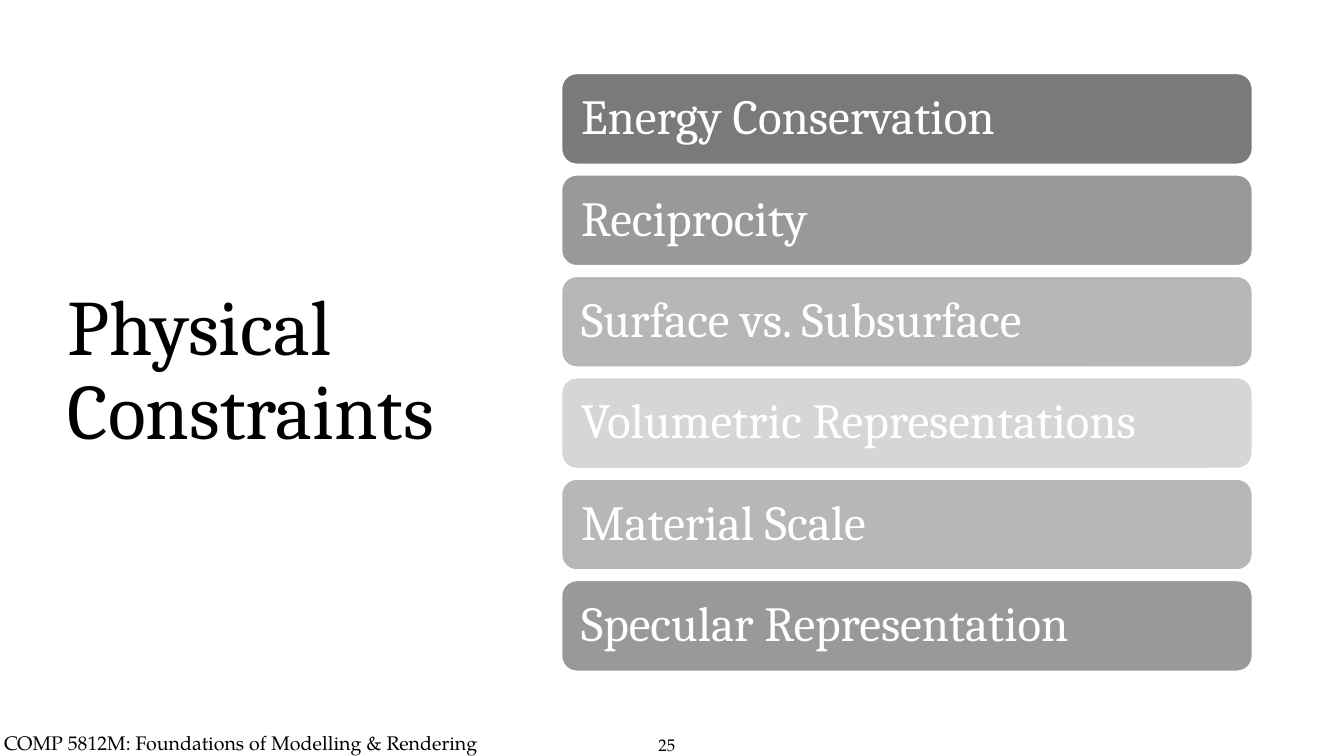
from pptx import Presentation
from pptx.dml.color import RGBColor
from pptx.enum.shapes import MSO_SHAPE
from pptx.enum.text import MSO_ANCHOR, PP_ALIGN
from pptx.util import Inches, Pt

ROUNDED = MSO_SHAPE.ROUNDED_RECTANGLE
TOP, MIDDLE = MSO_ANCHOR.TOP, MSO_ANCHOR.MIDDLE
LEFT = PP_ALIGN.LEFT

COLORS = {
    "ink": "000000",
    "paper": "FFFFFF",
    "dark": "7A7A7A",
    "medium": "999999",
    "light": "B7B7B7",
    "pale": "D6D6D6",
}
HEADING_FONT, FOOTER_FONT = "Cambria", "TeX Gyre Pagella"

CONSTRAINTS = [
    ("Energy Conservation", "dark"),
    ("Reciprocity", "medium"),
    ("Surface vs. Subsurface", "light"),
    ("Volumetric Representations", "pale"),
    ("Material Scale", "light"),
    ("Specular Representation", "medium"),
]

# Card column, in inches; the rows share its height evenly
CARDS_LEFT, CARDS_TOP, CARDS_WIDTH, CARDS_HEIGHT = 5.57, 0.73, 6.85, 5.93
CARD_HEIGHT = 0.9
CARD_PITCH = (CARDS_HEIGHT - CARD_HEIGHT) / (len(CONSTRAINTS) - 1)


def rgb(name):
    return RGBColor.from_string(COLORS[name])


def write(box, text, font, size, color, spacing, inset, anchor=MIDDLE, wrap=True):
    """Fill a shape with one left-aligned paragraph; inset is (sides, top and bottom)."""
    frame = box.text_frame
    frame.text = text
    frame.word_wrap = wrap
    frame.vertical_anchor = anchor
    frame.margin_left = frame.margin_right = Inches(inset[0])
    frame.margin_top = frame.margin_bottom = Inches(inset[1])
    paragraph = frame.paragraphs[0]
    paragraph.alignment = LEFT
    paragraph.line_spacing = spacing
    run_font = paragraph.runs[0].font
    run_font.name = font
    run_font.size = Pt(size)
    run_font.color.rgb = rgb(color)


prs = Presentation()
prs.slide_width, prs.slide_height = Inches(13.33), Inches(7.5)
slide = prs.slides.add_slide(prs.slide_layouts[6])
slide.background.fill.solid()
slide.background.fill.fore_color.rgb = rgb("paper")

course = slide.shapes.add_textbox(Inches(-0.02), Inches(7.13), Inches(6.31), Inches(0.39))
write(course, "COMP 5812M: Foundations of Modelling & Rendering",
      FOOTER_FONT, 14, "ink", Pt(21), (0.06, 0.06), anchor=TOP)

page_number = slide.shapes.add_textbox(Inches(6.49), Inches(7.19), Inches(0.35), Inches(0.33))
write(page_number, "25", FOOTER_FONT, 12, "ink", Pt(19), (0.04, 0.04), wrap=False)

title = slide.shapes.add_textbox(Inches(0.57), Inches(0.68), Inches(4.16), Inches(6.02))
write(title, "Physical Constraints", HEADING_FONT, 56, "ink", 0.9, (0.1, 0.05))

for row, (constraint, shade) in enumerate(CONSTRAINTS):
    card = slide.shapes.add_shape(
        ROUNDED, Inches(CARDS_LEFT), Inches(CARDS_TOP + row * CARD_PITCH),
        Inches(CARDS_WIDTH), Inches(CARD_HEIGHT))
    card.shadow.inherit = False
    card.fill.solid()
    card.fill.fore_color.rgb = rgb(shade)
    card.line.color.rgb = rgb("paper")
    card.line.width = Pt(1)
    write(card, constraint, HEADING_FONT, 35, "paper", 0.9, (0.15, 0.15))

prs.save("out.pptx")
